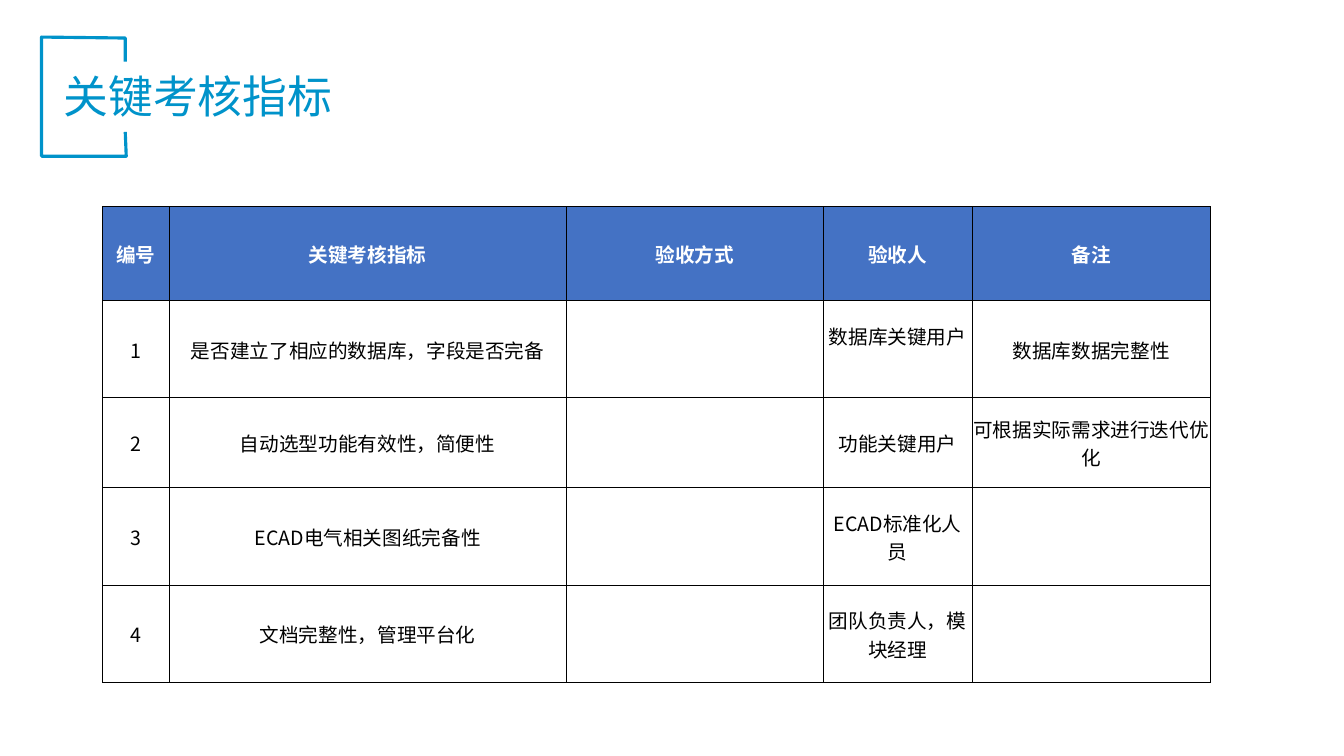
from dataclasses import dataclass

from lxml.etree import SubElement
from pptx import Presentation
from pptx.dml.color import RGBColor
from pptx.enum.text import MSO_ANCHOR, MSO_AUTO_SIZE, PP_ALIGN
from pptx.oxml.ns import qn
from pptx.util import Pt


@dataclass(frozen=True)
class Theme:
    font: str = "Noto Sans CJK SC"
    accent: str = "0093CA"
    header: str = "4472C4"
    header_text: str = "FFFFFF"
    text: str = "000000"
    border: str = "000000"
    title_size: float = 32
    table_size: float = 14


class SlideBuilder:
    def __init__(self, prs, theme):
        self.theme = theme
        self.s = prs.slides.add_slide(prs.slide_layouts[5])

    def style(self, p, size, color, align, bold=False):
        p.alignment = align
        p.font.name = self.theme.font
        p.font.size = Pt(size)
        p.font.bold = bold
        p.font.color.rgb = RGBColor.from_string(color)
        props = p._p.pPr.find(qn("a:defRPr"))
        SubElement(props, qn("a:ea")).set("typeface", self.theme.font)

    def title(self, text, left, top, width, height):
        sp = self.s.shapes.title
        sp.left, sp.top, sp.width, sp.height = map(Pt, (left, top, width, height))
        tf = sp.text_frame
        tf.text = text
        tf.word_wrap = True
        tf.auto_size = MSO_AUTO_SIZE.NONE
        tf.vertical_anchor = MSO_ANCHOR.MIDDLE
        tf.margin_top = tf.margin_bottom = 0
        self.style(tf.paragraphs[0], self.theme.title_size, self.theme.accent, PP_ALIGN.LEFT)

    def outline(self, points, weight):
        start, *rest = [(Pt(x), Pt(y)) for x, y in points]
        builder = self.s.shapes.build_freeform(*start)
        builder.add_line_segments(rest, close=False)
        sp = builder.convert_to_shape()
        sp.shadow.inherit = False
        sp.fill.background()
        sp.line.color.rgb = RGBColor.from_string(self.theme.accent)
        sp.line.width = Pt(weight)

    def borders(self, cell, top):
        props = cell._tc.get_or_add_tcPr()
        for side, weight in (("L", 0.5), ("R", 0.5), ("T", top), ("B", 0.5)):
            line = SubElement(props, qn(f"a:ln{side}"), w=str(Pt(weight)))
            fill = SubElement(line, qn("a:solidFill"))
            SubElement(fill, qn("a:srgbClr"), val=self.theme.border)

    def cell(self, cell, text, header, bottom):
        self.borders(cell, 1 if header else 0.5)
        cell.vertical_anchor = MSO_ANCHOR.MIDDLE
        cell.margin_left = cell.margin_right = cell.margin_top = Pt(0.7)
        cell.margin_bottom = Pt(bottom)
        if header:
            cell.fill.solid()
            cell.fill.fore_color.rgb = RGBColor.from_string(self.theme.header)
        else:
            cell.fill.background()
        cell.text = text
        color = self.theme.header_text if header else self.theme.text
        self.style(cell.text_frame.paragraphs[0], self.theme.table_size, color,
                   PP_ALIGN.CENTER, header)

    def table(self, rows, left, top, widths, heights, raised):
        frame = self.s.shapes.add_table(
            len(rows), len(widths), Pt(left), Pt(top), Pt(sum(widths)), Pt(sum(heights)))
        table = frame.table
        table.horz_banding = False
        for column, width in zip(table.columns, widths):
            column.width = Pt(width)
        for i, (row, height) in enumerate(zip(rows, heights)):
            table.rows[i].height = Pt(height)
            for j, text in enumerate(row):
                self.cell(table.cell(i, j), text, i == 0, raised.get((i, j), 0))


INDICATORS = [
    ("编号", "关键考核指标", "验收方式", "验收人", "备注"),
    ("1", "是否建立了相应的数据库，字段是否完备", "", "数据库关键用户", "数据库数据完整性"),
    ("2", "自动选型功能有效性，简便性", "", "功能关键用户", "可根据实际需求进行迭代优化"),
    ("3", "ECAD电气相关图纸完备性", "", "ECAD标准化人员", ""),
    ("4", "文档完整性，管理平台化", "", "团队负责人，模块经理", ""),
]


def main():
    prs = Presentation()
    prs.slide_width, prs.slide_height = Pt(960), Pt(540)
    slide = SlideBuilder(prs, Theme())
    slide.outline([(89.5, 94.3), (90.2, 111.6), (29.7, 111.6),
                   (29.7, 26.5), (89.5, 27.2), (89.5, 44)], 2.25)
    slide.title("关键考核指标", 38.2, 45.4, 702, 46)
    slide.table(INDICATORS, 73.2, 147.6,
                widths=[47.7, 283.6, 183.6, 106.2, 170.4],
                heights=[67.1, 69.3, 64.3, 70, 68.8],
                raised={(1, 3): 20})
    prs.save("out.pptx")


if __name__ == "__main__":
    main()
